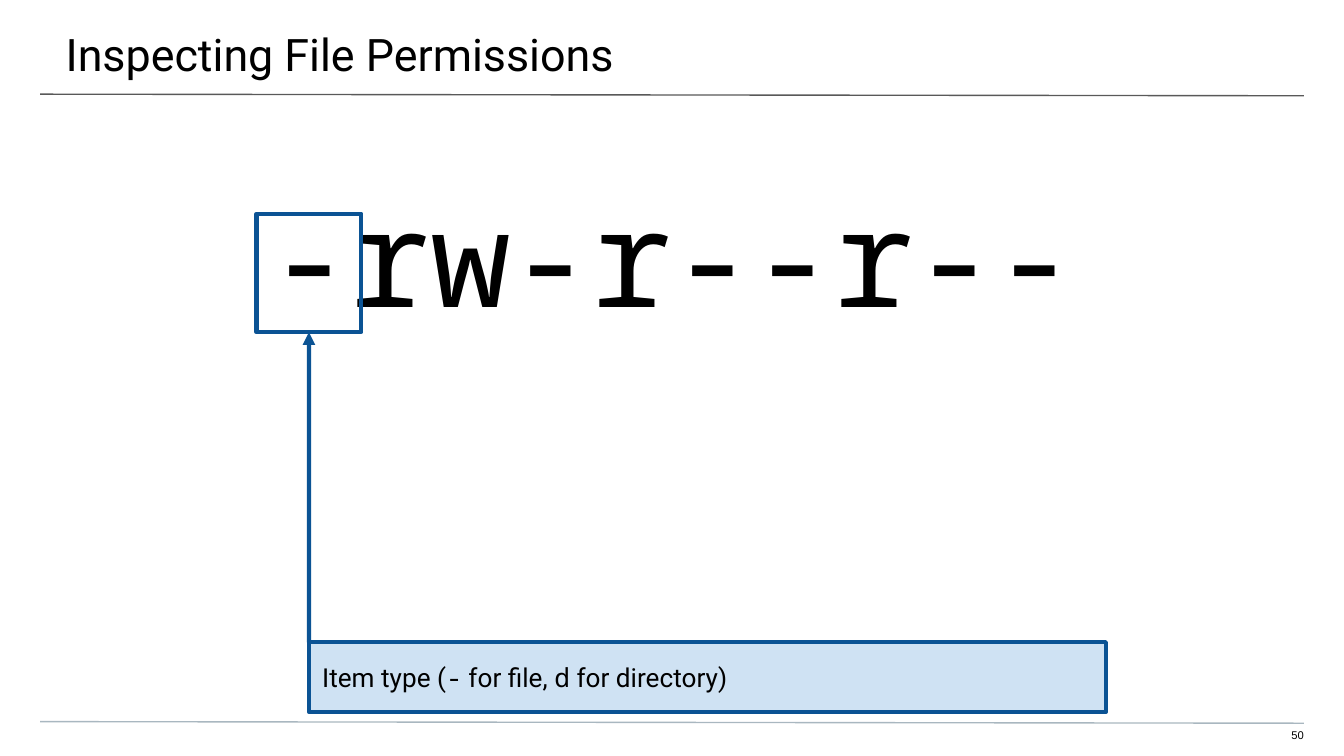
from lxml import etree
from pptx import Presentation
from pptx import util as u
from pptx.dml.color import RGBColor
from pptx.enum import shapes, text
from pptx.oxml.ns import qn

BLACK = RGBColor(0x00, 0x00, 0x00)
BLUE = RGBColor(0x0B, 0x53, 0x94)
PALE_BLUE = RGBColor(0xCF, 0xE2, 0xF3)
DARK_GREY = RGBColor(0x59, 0x59, 0x59)
LIGHT_GREY = RGBColor(0xA9, 0xB7, 0xC0)
SANS = "Roboto"
MONO = "Noto Sans Mono"


def write(shape, pieces, size, align, anchor, insets):
    frame = shape.text_frame
    frame.word_wrap = True
    frame.auto_size = text.MSO_AUTO_SIZE.NONE
    frame.vertical_anchor = anchor
    (frame.margin_left, frame.margin_top,
     frame.margin_right, frame.margin_bottom) = [u.Cm(inset) for inset in insets]
    paragraph = frame.paragraphs[0]
    paragraph.alignment = align
    for words, font_name in pieces:
        run = paragraph.add_run()
        run.text = words
        run.font.name = font_name
        run.font.size = u.Pt(size)
        run.font.color.rgb = BLACK


def add_line(start, end, color, width):
    line = slide.shapes.add_connector(
        shapes.MSO_CONNECTOR.STRAIGHT, *[u.Cm(value) for value in start + end])
    line.line.color.rgb = color
    line.line.width = u.Pt(width)
    etree.SubElement(line._element.spPr, qn("a:effectLst"))
    return line


presentation = Presentation()
presentation.slide_width = u.Cm(25.4)
presentation.slide_height = u.Cm(14.29)
slide = presentation.slides.add_slide(presentation.slide_layouts[5])

for top, color in ((1.78, DARK_GREY), (13.64, LIGHT_GREY)):
    add_line((0.76, top), (24.64, top + 0.03), color, 0.75)

title = slide.shapes.title
title.left, title.top = u.Cm(-0.03), u.Cm(0)
title.width, title.height = u.Cm(25.48), u.Cm(1.47)
write(title, [("Inspecting File Permissions", SANS)], 24,
      text.PP_ALIGN.LEFT, text.MSO_ANCHOR.TOP, (1.27, 0.51, 0.76, 0.25))

permissions = slide.shapes.add_textbox(u.Cm(4.5), u.Cm(3.02), u.Cm(16.41), u.Cm(3.12))
write(permissions, [("-rw-r--r--", MONO)], 72,
      text.PP_ALIGN.CENTER, text.MSO_ANCHOR.TOP, [0.25] * 4)

callout = slide.shapes.add_shape(
    shapes.MSO_SHAPE.RECTANGLE, u.Cm(5.84), u.Cm(12.14), u.Cm(15.06), u.Cm(1.32))
callout.fill.solid()
callout.fill.fore_color.rgb = PALE_BLUE
write(callout, [("Item type (", SANS), ("-", MONO), (" for file, ", SANS),
                ("d", MONO), (" for directory)", SANS)], 14,
      text.PP_ALIGN.LEFT, text.MSO_ANCHOR.MIDDLE, [0.25] * 4)

type_box = slide.shapes.add_shape(
    shapes.MSO_SHAPE.RECTANGLE, u.Cm(4.85), u.Cm(4.04), u.Cm(1.98), u.Cm(2.24))
type_box.fill.background()

for shape in (callout, type_box):
    shape.shadow.inherit = False
    shape.line.color.rgb = BLUE
    shape.line.width = u.Pt(2.25)

page_number = slide.shapes.add_textbox(u.Cm(23.9), u.Cm(13.77), u.Cm(0.74), u.Cm(0.3))
write(page_number, [("50", "Arial")], 6,
      text.PP_ALIGN.RIGHT, text.MSO_ANCHOR.TOP, (0, 0, 0, 0.25))

arrow = add_line((5.84, 12.14), (5.84, 6.32), BLUE, 2.25)
arrow.end_connect(type_box, 2)
etree.SubElement(arrow.line._get_or_add_ln(), qn("a:tailEnd"), type="triangle")

presentation.save("out.pptx")
